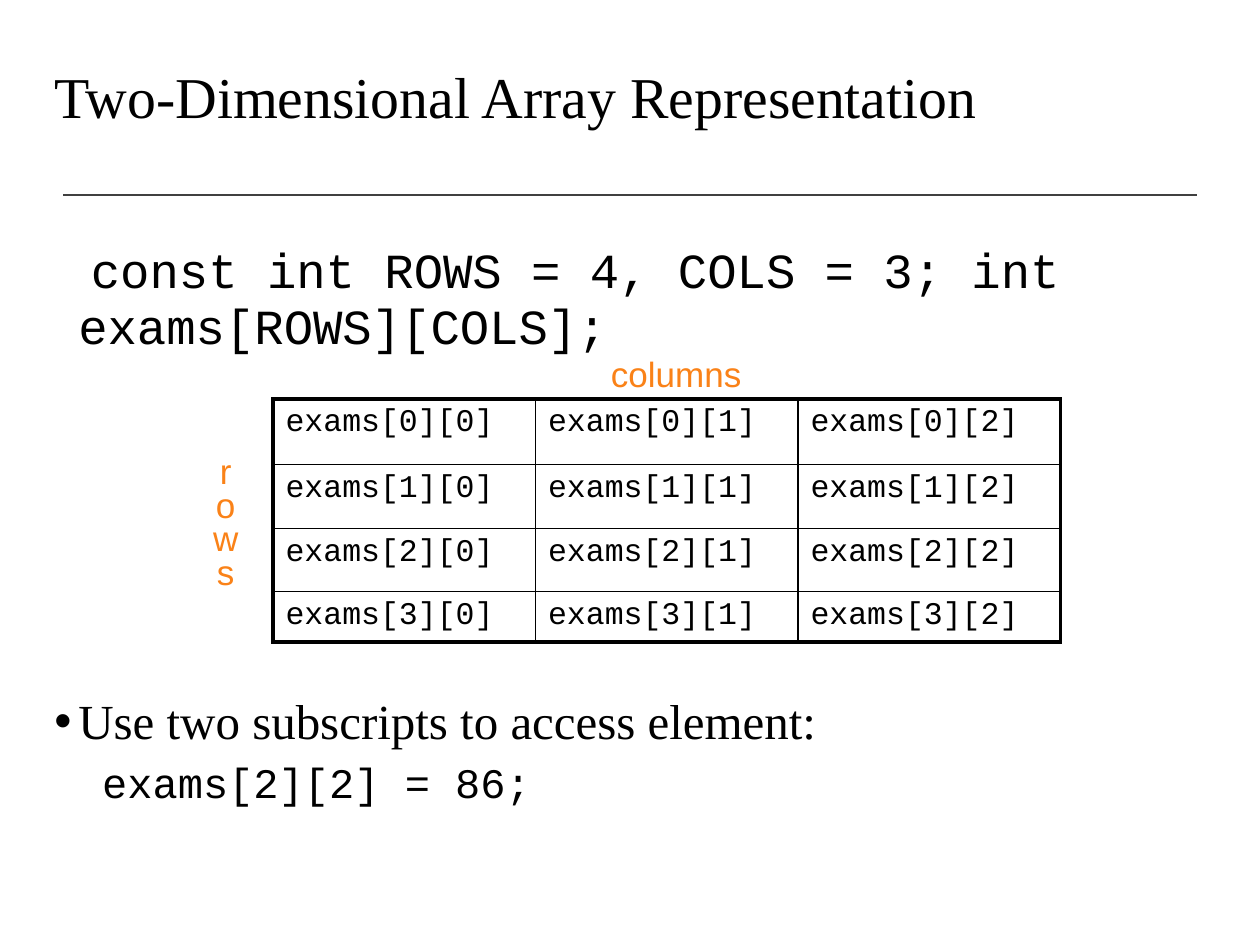
from lxml import etree
from pptx import Presentation
from pptx.dml.color import RGBColor
from pptx.enum.shapes import MSO_CONNECTOR
from pptx.enum.text import MSO_ANCHOR, PP_ALIGN
from pptx.oxml.ns import qn
from pptx.util import Inches, Pt

LINE = MSO_CONNECTOR.STRAIGHT
MID, TOP = MSO_ANCHOR.MIDDLE, MSO_ANCHOR.TOP
LEFT, MIDST = PP_ALIGN.LEFT, PP_ALIGN.CENTER
HUES = {"ink": "000000", "rule": "404040", "tag": "FA8218"}
SERIF, MONO, SANS = "Times New Roman", "Courier New", "Arial"
WIDE, HIGH = 120, 90
UNIT = Inches(10) // WIDE
ROWS, COLS = 4, 3


def grid(*cells):
    """Turn grid counts into lengths."""
    return [round(n * UNIT) for n in cells]


def write(para, text, font=SERIF, size=28, hue="ink", align=LEFT, lead=None,
          gap=0, left=0, first=0, mark=None):
    """Put formatted text into a paragraph."""
    run = para.add_run()
    run.text = text
    run.font.name, run.font.size = font, Pt(size)
    run.font.color.rgb = RGBColor.from_string(HUES[hue])
    para.alignment = align
    para.space_before = Pt(gap)
    if lead:
        para.line_spacing = lead
    props = para._p.get_or_add_pPr()
    props.set("marL", str(Inches(left)))
    props.set("indent", str(Inches(first)))
    if mark:
        etree.SubElement(props, qn("a:buFont")).set("typeface", SANS)
        etree.SubElement(props, qn("a:buChar")).set("char", mark)


def frame(slide, box, wrap=True, anchor=TOP):
    """Add a text box and return its frame."""
    text = slide.shapes.add_textbox(*grid(*box)).text_frame
    text.word_wrap, text.vertical_anchor = wrap, anchor
    return text


def head(slide, box):
    """Place the title and the rule below it."""
    text = frame(slide, box, anchor=MID)
    write(text.paragraphs[0], "Two-Dimensional Array Representation",
          size=33, lead=0.9)
    x, y, w, h = box
    rule = slide.shapes.add_connector(
        LINE, *grid(x + 2, y + h + 1.6, WIDE - 6, y + h + 1.6))
    rule.line.width = Pt(1)
    rule.line.color.rgb = RGBColor.from_string(HUES["rule"])
    etree.SubElement(rule._element.spPr, qn("a:effectLst"))


def body(slide, box):
    """Place the code and the point, with room for the table between."""
    text = frame(slide, box)
    text.margin_top = Inches(0.52)
    write(text.paragraphs[0],
          "const int ROWS = 4, COLS = 3; int exams[ROWS][COLS];",
          font=MONO, lead=0.95, left=0.19, first=0.1)
    write(text.add_paragraph(), "Use two subscripts to access element:",
          lead=0.9, gap=195, left=0.19, first=-0.19, mark="•")
    write(text.add_paragraph(), "exams[2][2] = 86;", font=MONO, size=24,
          lead=0.9, gap=7, left=0.38)


def edge(cell, row, col):
    """Draw cell borders, heavy on the outer sides of the table."""
    props = cell._tc.get_or_add_tcPr()
    outer = {"L": col == 0, "R": col == COLS - 1,
             "T": row == 0, "B": row == ROWS - 1}
    for side, heavy in outer.items():
        line = etree.SubElement(props, qn(f"a:ln{side}"))
        line.set("w", str(Pt(2.25 if heavy else 1)))
        fill = etree.SubElement(line, qn("a:solidFill"))
        etree.SubElement(fill, qn("a:srgbClr")).set("val", HUES["ink"])


def array(slide, box):
    """Place the array table."""
    table = slide.shapes.add_table(ROWS, COLS, *grid(*box)).table
    table.first_row = table.horz_banding = False
    for row, high in enumerate((0.52, 0.51, 0.5, 0.4)):
        table.rows[row].height = Inches(high)
        for col in range(COLS):
            cell = table.cell(row, col)
            edge(cell, row, col)
            cell.fill.background()
            write(cell.text_frame.paragraphs[0], f"exams[{row}][{col}]",
                  font=MONO, size=18)


def tag(slide, box, lines, **form):
    """Place an axis label, one paragraph for each line."""
    text = frame(slide, box, wrap=False)
    for i, line in enumerate(lines):
        para = text.add_paragraph() if i else text.paragraphs[0]
        write(para, line, font=SANS, size=20, hue="tag", **form)


def main():
    """Build and save the slide."""
    deck = Presentation()
    deck.slide_width, deck.slide_height = grid(WIDE, HIGH)
    slide = deck.slides.add_slide(deck.slide_layouts[6])
    head(slide, (4, 2, 102, 15))
    body(slide, (4, 17, 102, 64))
    array(slide, (26, 38, 75, 23))
    tag(slide, (57, 33, 15, 5), ["columns"])
    tag(slide, (19, 43, 5, 14), "rows", align=MIDST, lead=0.8)
    deck.save("out.pptx")


if __name__ == "__main__":
    main()
